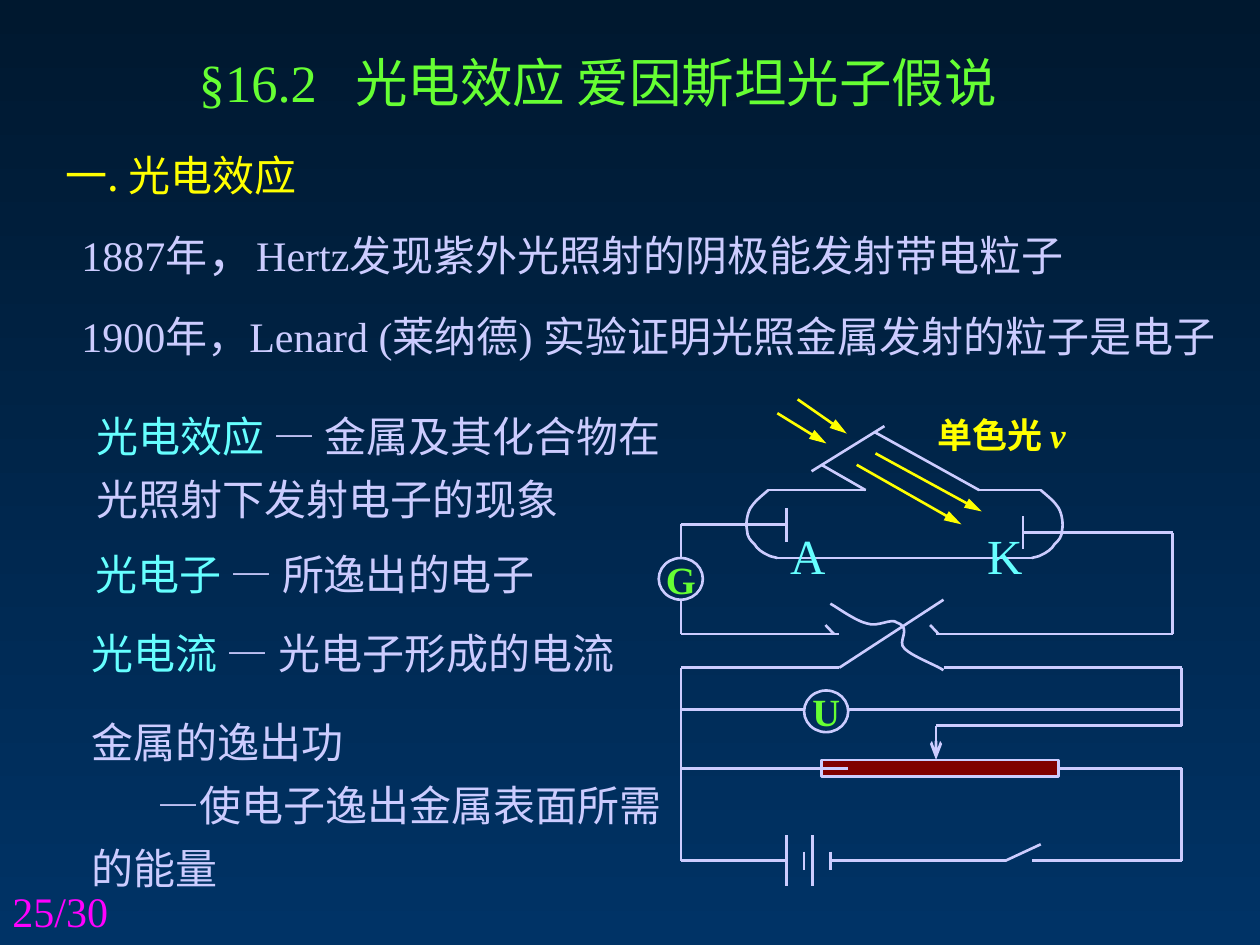
import pptx
import pptx.util
import pptx.dml.color
import pptx.enum.shapes
import pptx.enum.text
import pptx.oxml
import pptx.oxml.ns
from pptx.util import Cm

COLORS = {"top": "00182F", "bottom": "003366", "title": "66FF33", "heading": "FFFF00",
          "body": "CCCCFF", "term": "66FFFF", "resistor": "800000", "page": "FF00FF"}
TIMES, NOTO = "Times New Roman", "Noto Sans CJK SC"
ALIGN = pptx.enum.text.PP_ALIGN
SHAPE = pptx.enum.shapes.MSO_SHAPE
qn = pptx.oxml.ns.qn


def rgb(name):
    """Return the named colour."""
    return pptx.dml.color.RGBColor.from_string(COLORS[name])


def add_child(parent, tag, **attrs):
    """Append a drawing element with attributes and return it."""
    child = parent.makeelement(qn(tag), attrs)
    parent.append(child)
    return child


def add_run(p, text, color, size=24, font=NOTO, bold=None, italic=None):
    """Append one formatted run to a paragraph."""
    r = p.add_run()
    r.text = text
    r.font.size = pptx.util.Pt(size)
    r.font.bold, r.font.italic = bold, italic
    r.font.color.rgb = rgb(color)
    r.font.name = font
    add_child(r.font._element, "a:ea", typeface=NOTO)


def add_text(s, box, paragraphs, spacing=None, wrap=True, top=0.13, middle=False):
    """Add a text box whose paragraphs are lists of run arguments."""
    sp = s.shapes.add_textbox(*map(Cm, box))
    tf = sp.text_frame
    tf.word_wrap = wrap
    tf.auto_size = pptx.enum.text.MSO_AUTO_SIZE.SHAPE_TO_FIT_TEXT
    tf.margin_top = Cm(top)
    if middle:
        tf.vertical_anchor = pptx.enum.text.MSO_ANCHOR.MIDDLE
    for i, runs in enumerate(paragraphs):
        p = tf.paragraphs[0] if i == 0 else tf.add_paragraph()
        if spacing:
            p.line_spacing = spacing
        for run in runs:
            add_run(p, *run)
    return tf


def add_background(s):
    """Fill the slide with a vertical gradient."""
    fill = s.background.fill
    fill.gradient()
    fill.gradient_angle = 270
    for stop, name in zip(fill.gradient_stops, ("top", "bottom")):
        stop.color.rgb = rgb(name)


def add_header(s, x, y):
    """Add the section title and the first heading."""
    tf = add_text(s, (x + 2.69, y, 20.17, 1.96),
                  [[("§16.2\t", "title", 30, TIMES), ("光电效应 爱因斯坦光子假说", "title", 30)]], top=0.46)
    tabs = add_child(tf.paragraphs[0]._p.get_or_add_pPr(), "a:tabLst")
    add_child(tabs, "a:tab", pos=str(Cm(3.15)), algn="l")
    add_text(s, (x, y + 2.34, 13.21, 1.3), [[("一. 光电效应", "heading")]])


def add_history(s, x, y):
    """Add the two historical statements."""
    add_text(s, (x, y, 23.5, 1.45),
             [[("1887年", "body", 24, TIMES), ("，", "body", 28, TIMES),
               ("Hertz发现紫外光照射的阴极能发射带电粒子", "body", 24, TIMES)]])
    add_text(s, (x, y + 1.78, 23.7, 1.27),
             [[("1900年，Lenard (莱纳德) 实验证明光照金属发射的粒子是电子", "body", 24, TIMES)]])


def add_definitions(s, x, y):
    """Add the definitions of the photoelectric terms."""
    add_text(s, (x + 0.1, y, 13.21, 2.69),
             [[("光电效应 ", "term"), ("— 金属及其化合物在", "body")],
              [("光照射下发射电子的现象", "body")]], spacing=1.25, middle=True)
    add_text(s, (x + 0.08, y + 2.98, 12, 1.27), [[("光电子 ", "term"), ("— 所逸出的电子", "body")]])
    add_text(s, (x, y + 4.58, 12.19, 1.27), [[("光电流 ", "term"), ("— 光电子形成的电流", "body")]])
    tf = add_text(s, (x, y + 6.13, 12.2, 3.99),
                  [[("金属的逸出功", "body")], [("—使电子逸出金属表面所需的能量", "body")]], spacing=1.25)
    pPr = tf.paragraphs[1]._p.get_or_add_pPr()
    pPr.set("marL", "0")
    pPr.set("indent", str(Cm(1.33)))


def add_line(s, x, y, ends, color="body", arrow=None):
    """Draw a straight line, with an arrowhead if one is named."""
    x1, y1, x2, y2 = ends
    c = s.shapes.add_connector(pptx.enum.shapes.MSO_CONNECTOR.STRAIGHT,
                               Cm(x + x1), Cm(y + y1), Cm(x + x2), Cm(y + y2))
    c.line.color.rgb = rgb(color)
    c.line.width = pptx.util.Pt(1.5)
    if arrow:
        add_child(c.line._get_or_add_ln(), "a:tailEnd", type=arrow, w="med", len="lg")
    add_child(c._element.spPr, "a:effectLst")
    return c


def add_outline(sp, fill=None):
    """Give a shape the circuit outline and an optional fill."""
    sp.shadow.inherit = False
    sp.line.color.rgb = rgb("body")
    sp.line.width = pptx.util.Pt(1.5)
    if fill:
        sp.fill.solid()
        sp.fill.fore_color.rgb = rgb(fill)
    else:
        sp.fill.background()


def add_curve(s, x, y, points):
    """Draw a chain of cubic curves through control points."""
    track = [(Cm(x + px), Cm(y + py)) for px, py in points]
    builder = s.shapes.build_freeform(*track[0])
    builder.add_line_segments(track[1:], close=False)
    sp = builder.convert_to_shape()
    segments = list(sp._element.iter(qn("a:lnTo")))
    outline = segments[0].getparent()
    for i in range(0, len(segments), 3):
        curve = add_child(outline, "a:cubicBezTo")
        for segment in segments[i:i + 3]:
            curve.append(segment[0])
            outline.remove(segment)
    add_outline(sp)


def add_meter(s, x, y, letter):
    """Draw a round meter with its letter."""
    sp = s.shapes.add_shape(SHAPE.OVAL, Cm(x), Cm(y), Cm(0.89), Cm(0.84))
    add_outline(sp)
    tf = sp.text_frame
    tf.word_wrap = False
    tf.margin_left = tf.margin_right = tf.margin_top = tf.margin_bottom = 0
    tf.vertical_anchor = pptx.enum.text.MSO_ANCHOR.MIDDLE
    tf.paragraphs[0].alignment = ALIGN.CENTER
    add_run(tf.paragraphs[0], letter, "title", 22, TIMES, True)


def add_tube(s, x, y):
    """Draw the phototube with its electrodes and incoming light."""
    arc = [(7.7, 1.83), (7.85, 1.96), (7.98, 2.06), (8.06, 2.19), (8.13, 2.31), (8.16, 2.52),
           (8.13, 2.64), (8.13, 2.77), (8.06, 2.85), (7.98, 2.92), (7.93, 3.02), (7.8, 3.1),
           (7.73, 3.13), (7.65, 3.18), (7.57, 3.18), (7.52, 3.2)]
    add_curve(s, x, y, arc)
    add_curve(s, x, y, [(9.91 - px, py) for px, py in arc])
    for ends in ((2.21, 1.83, 4.17, 1.83), (6.46, 1.83, 7.7, 1.83), (2.39, 3.2, 7.52, 3.2),
                 (4.17, 1.83, 3.28, 1.32), (6.46, 1.83, 4.35, 0.66), (4.55, 0.54, 3.08, 1.45),
                 (2.57, 2.19, 2.57, 2.87), (7.34, 2.36, 7.34, 3.02)):
        add_line(s, x, y, ends)
    for ray in ((2.39, 0.28, 3.38, 0.89), (2.8, 0, 3.79, 0.69),
                (3.99, 1.32, 6.1, 2.52), (4.37, 1.09, 6.51, 2.26)):
        add_line(s, x, y, ray, "heading", "triangle")
    for left, letter in ((2.4, "A"), (6.37, "K")):
        add_text(s, (x + left, y + 2.41, 1.22, 1.45), [[(letter, "term", 28, TIMES)]], wrap=False)
    add_text(s, (x + 5.36, y + 0.15, 3.58, 1.12),
             [[("单色光 ", "heading", 20, TIMES, True), ("ν", "heading", 20, TIMES, True, True)]])


def add_circuit(s, x, y):
    """Draw the wiring, meters, resistor, reversing switch and battery."""
    left, right, inner = 0.45, 10.54, 10.36
    add_meter(s, x, y + 3.2, "G")
    add_meter(s, x + 2.93, y + 5.87, "U")
    resistor = s.shapes.add_shape(SHAPE.RECTANGLE, Cm(x + 3.28), Cm(y + 7.27), Cm(4.78), Cm(0.34))
    add_outline(resistor, "resistor")
    horizontal = ((left, 1.68, 2.52), (1.14, 2.57, 2.52), (7.34, inner, 2.69),
                  (left, 3.64, 4.73), (5.59, inner, 4.73),
                  (left, 3.64, 5.41), (5.74, right, 5.41), (left, 2.93, 6.25), (3.81, right, 6.25),
                  (5.59, right, 6.58), (left, 3.81, 7.44),
                  (left, 2.57, 9.3), (3.46, 6.99, 9.3), (7.52, right, 9.3))
    vertical = ((left, 2.52, 3.2), (left, 4.04, 4.73), (left, 5.41, 7.44), (left, 7.44, 9.3),
                (inner, 2.69, 4.73), (right, 5.41, 5.92), (right, 5.56, 6.58), (right, 7.44, 9.3),
                (2.57, 8.79, 9.81), (2.93, 9.12, 9.48), (3.1, 8.79, 9.81), (3.46, 9.12, 9.48))
    slanted = ((6.99, 9.3, 7.7, 8.97), (3.64, 5.41, 5.74, 4.04),
               (3.36, 4.55, 3.53, 4.73), (5.47, 4.55, 5.64, 4.73))
    for x1, x2, level in horizontal:
        add_line(s, x, y, (x1, level, x2, level))
    for across, y1, y2 in vertical:
        add_line(s, x, y, (across, y1, across, y2))
    for ends in slanted:
        add_line(s, x, y, ends)
    add_line(s, x, y, (8.06, 7.44, right, 7.44)).begin_connect(resistor, 3)
    add_line(s, x, y, (5.59, 6.58, 5.59, 7.27), arrow="arrow")
    add_curve(s, x, y, [(3.46, 4.12), (3.59, 4.19), (3.97, 4.47), (4.2, 4.52), (4.42, 4.6),
                        (4.7, 4.4), (4.8, 4.5), (5.13, 4.62), (4.78, 4.88), (4.96, 5.03),
                        (5.11, 5.18), (5.59, 5.36), (5.74, 5.46)])


def main():
    """Build and save the slide."""
    prs = pptx.Presentation()
    prs.slide_width, prs.slide_height = Cm(25.4), Cm(19.05)
    s = prs.slides.add_slide(prs.slide_layouts[6])
    add_background(s)
    add_header(s, 1.07, 0.54)
    add_history(s, 1.39, 4.36)
    add_definitions(s, 1.59, 7.94)
    add_circuit(s, 13.28, 8.05)
    add_tube(s, 13.28, 8.05)
    add_text(s, (0, 17.73, 5.92, 1.32), [[("25/30", "page", 24, TIMES)]])
    prs.save("out.pptx")


if __name__ == "__main__":
    main()
